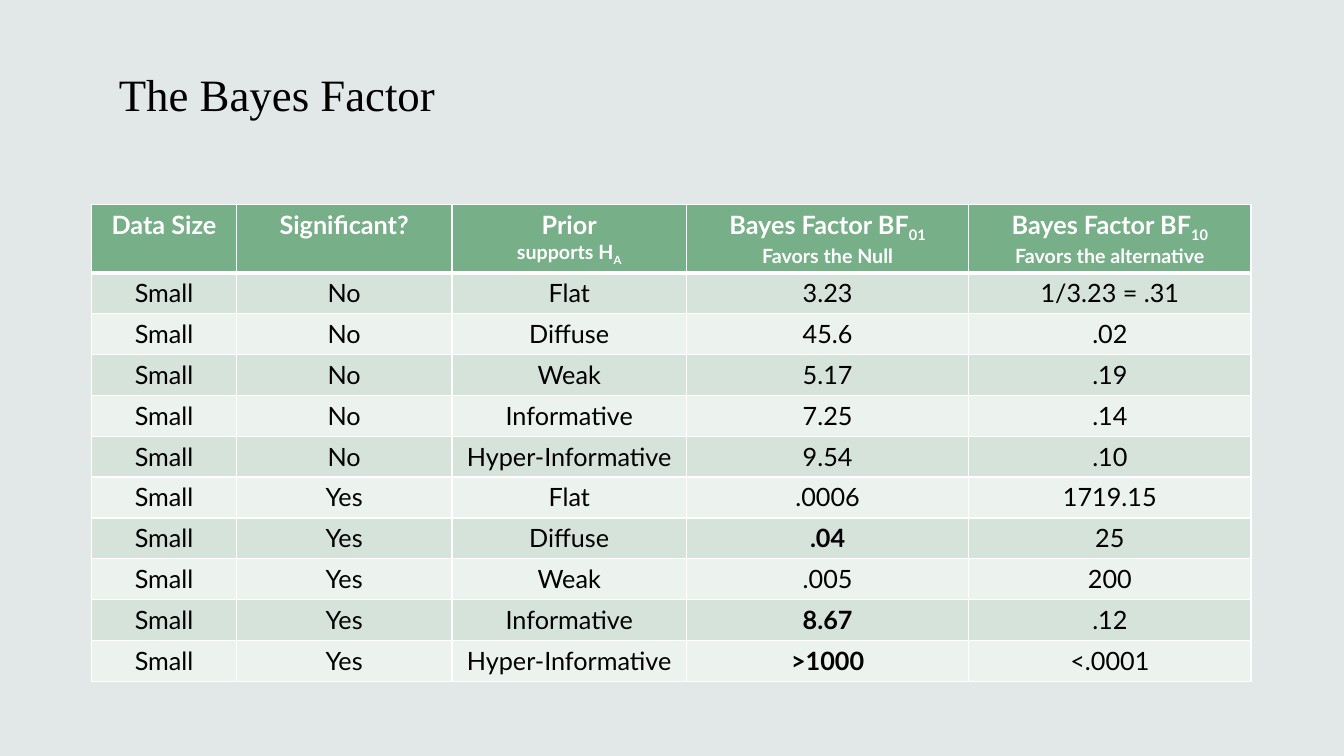
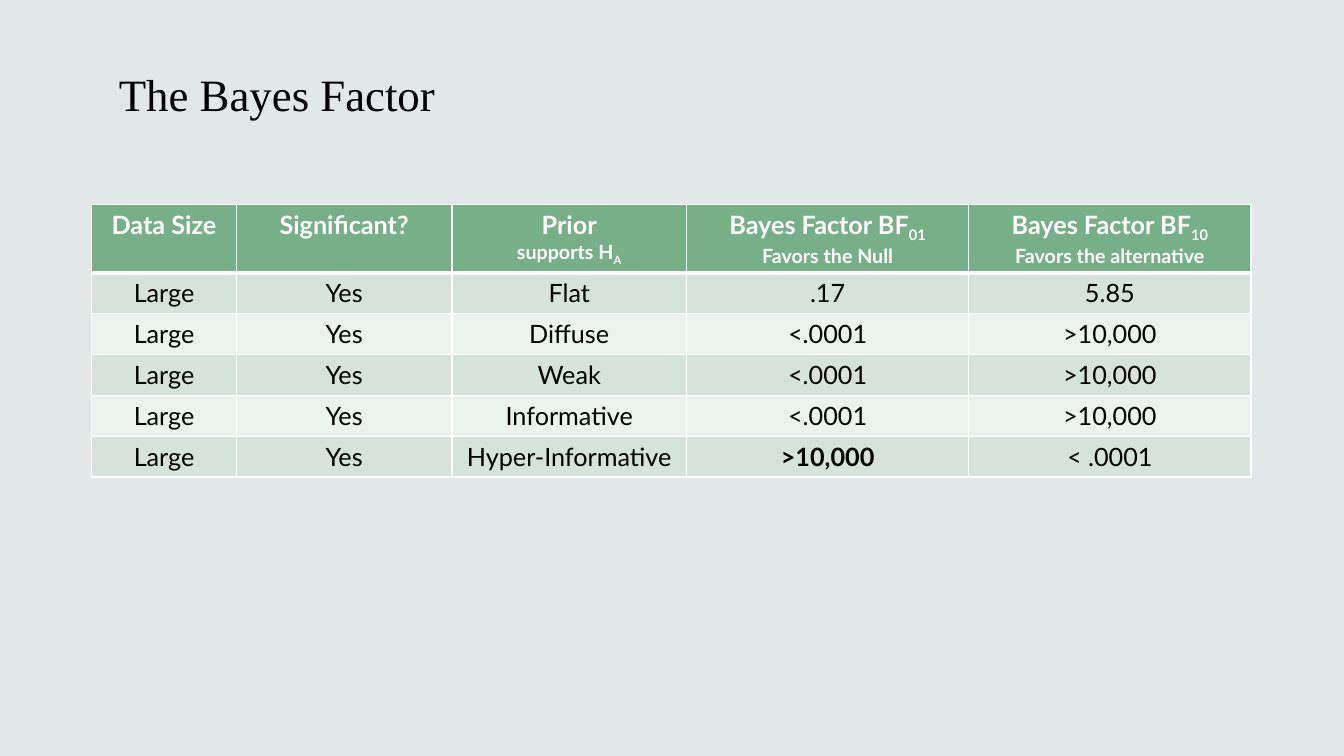
from lxml import etree
from pptx import Presentation
from pptx import util as u
from pptx.dml import color as clr
from pptx.enum import text
from pptx.oxml import ns

COLORS = {"back": "E2E7E8", "head": "77AF88", "odd": "D6E3DA",
          "even": "ECF2ED", "line": "FFFFFF", "ink": "000000"}
TITLE = "The Bayes Factor"
HEADER = ["Data Size", "Significant?", "Prior\nsupports H_A",
          "Bayes Factor BF_01\nFavors the Null",
          "Bayes Factor BF_10\nFavors the alternative"]
PRIORS = ["Flat", "Diffuse", "Weak", "Informative", "Hyper-Informative"]
SLIDES = [
    [("Small", "No", ["3.23", "45.6", "5.17", "7.25", "9.54"],
      ["1/3.23 = .31", ".02", ".19", ".14", ".10"]),
     ("Small", "Yes", [".0006", "*.04", ".005", "*8.67", "*>1000"],
      ["1719.15", "25", "200", ".12", "<.0001"])],
    [("Large", "Yes", [".17", "<.0001", "<.0001", "<.0001", "*>10,000"],
      ["5.85", ">10,000", ">10,000", ">10,000", "< .0001"])],
]
COL_SHARES = [10.75, 16.05, 17.45, 21, 21]
HEAD_SHARE, ROW_SHARE = 8.87, 5.41

prs = Presentation()
prs.slide_width, prs.slide_height = u.Inches(13.33), u.Inches(7.5)
wide, high = prs.slide_width / 100, prs.slide_height / 100
fill = prs.slide_master.background.fill
fill.solid()
fill.fore_color.rgb = clr.RGBColor.from_string(COLORS["back"])


def style(r, size, color, font="Lato", bold=False):
    r.font.name, r.font.size, r.font.bold = font, u.Pt(size), bold
    r.font.color.rgb = clr.RGBColor.from_string(COLORS[color])


def paint(cell, color, bottom):
    tc_pr = cell._tc.get_or_add_tcPr()
    for side, width in (("L", 1), ("R", 1), ("T", 1), ("B", bottom)):
        ln = etree.SubElement(tc_pr, ns.qn(f"a:ln{side}"), w=str(u.Pt(width)))
        solid = etree.SubElement(ln, ns.qn("a:solidFill"))
        etree.SubElement(solid, ns.qn("a:srgbClr"), val=COLORS["line"])
    cell.fill.solid()
    cell.fill.fore_color.rgb = clr.RGBColor.from_string(COLORS[color])


for groups in SLIDES:
    s = prs.slides.add_slide(prs.slide_layouts[6])
    sp = s.shapes.add_textbox(int(8.1 * wide), int(5.73 * high),
                              int(83.8 * wide), int(10.8 * high))
    tf = sp.text_frame
    tf.word_wrap = True
    tf.vertical_anchor = text.MSO_ANCHOR.BOTTOM
    tf.text = TITLE
    style(tf.paragraphs[0].runs[0], 32, "ink", "Times New Roman")

    rows = [HEADER] + [(size, signif, *values)
                       for size, signif, null, alt in groups
                       for values in zip(PRIORS, null, alt)]
    shares = [HEAD_SHARE] + [ROW_SHARE] * (len(rows) - 1)
    table = s.shapes.add_table(
        len(rows), len(HEADER), int(6.83 * wide), int(27.07 * high),
        int(sum(COL_SHARES) * wide), int(sum(shares) * high)).table
    for column, share in zip(table.columns, COL_SHARES):
        column.width = int(share * wide)
    for i, (row, share) in enumerate(zip(rows, shares)):
        table.rows[i].height = int(share * high)
        head = i == 0
        color = "head" if head else "odd" if i % 2 else "even"
        for j, value in enumerate(row):
            cell = table.cell(i, j)
            paint(cell, color, 3 if head else 1)
            tf = cell.text_frame
            tf.text = value.lstrip("*").replace("_", "")
            for k, (p, line) in enumerate(zip(tf.paragraphs, value.split("\n"))):
                p.alignment = text.PP_ALIGN.CENTER
                base, _, sub = line.lstrip("*").partition("_")
                p.runs[0].text = base
                if sub:
                    r = p.add_run()
                    r.text = sub
                    r.font._element.set("baseline", "-25000")
                for r in p.runs:
                    style(r, 14 if k else 18, "line" if head else "ink",
                          bold=head or value.startswith("*"))

prs.save("out.pptx")
